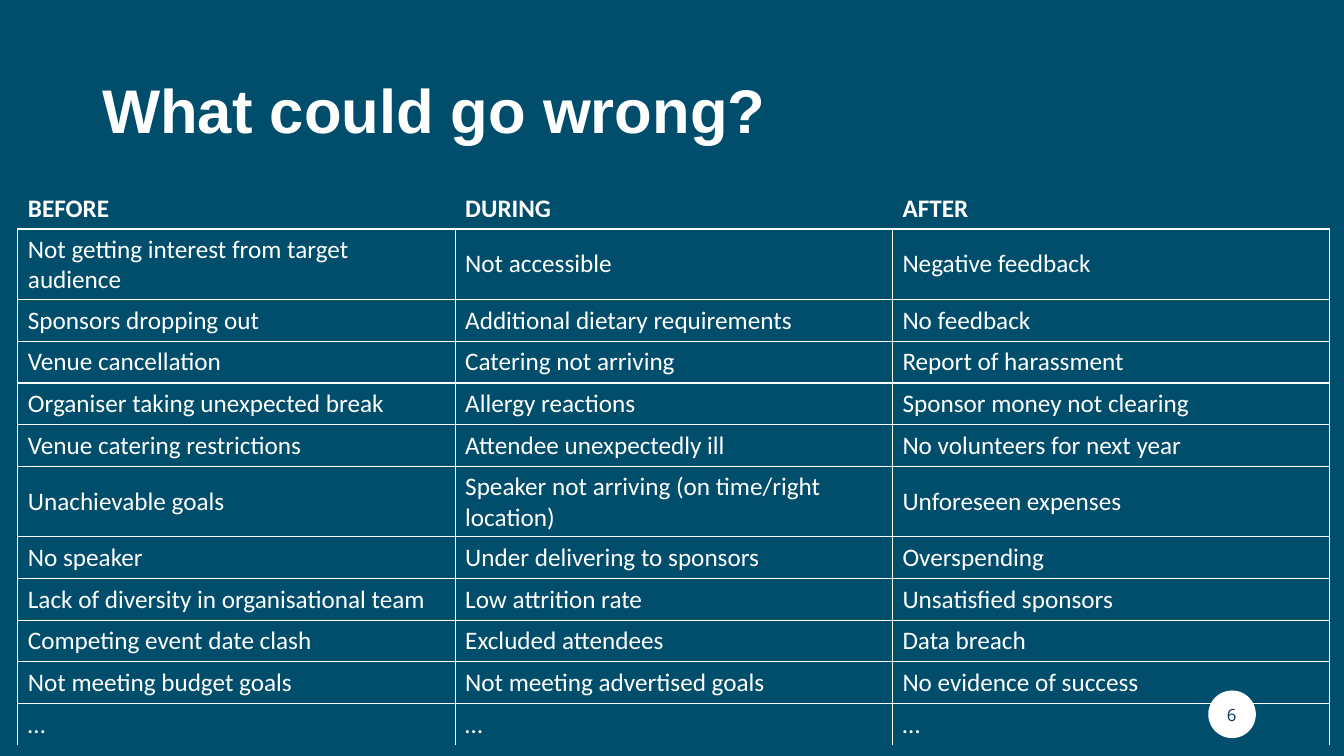
from dataclasses import dataclass

from lxml import etree
from pptx import Presentation
from pptx.dml.color import RGBColor
from pptx.enum.shapes import MSO_SHAPE
from pptx.enum.text import MSO_ANCHOR, PP_ALIGN
from pptx.oxml.ns import qn
from pptx.util import Cm, Pt

OVAL = MSO_SHAPE.OVAL
MIDDLE, BOTTOM = MSO_ANCHOR.MIDDLE, MSO_ANCHOR.BOTTOM
LEFT, CENTER = PP_ALIGN.LEFT, PP_ALIGN.CENTER


@dataclass(frozen=True)
class Theme:
    background: str = "004E6C"
    foreground: str = "FFFFFF"
    number_color: str = "083763"
    title_font: str = "Arial"
    table_font: str = "Calibri"
    number_font: str = "Open Sans"
    title_size: int = 44
    table_size: int = 18
    number_size: int = 12
    border_width: int = 1


THEME = Theme()
TITLE = "What could go wrong?"
PAGE_NUMBER = "6"
COLUMN_WIDTH = 11.02
ROW_HEIGHT = 1.05
RISKS = [
    ("BEFORE", "DURING", "AFTER"),
    ("Not getting interest from target audience", "Not accessible", "Negative feedback"),
    ("Sponsors dropping out", "Additional dietary requirements", "No feedback"),
    ("Venue cancellation", "Catering not arriving", "Report of harassment"),
    ("Organiser taking unexpected break", "Allergy reactions", "Sponsor money not clearing"),
    ("Venue catering restrictions", "Attendee unexpectedly ill", "No volunteers for next year"),
    ("Unachievable goals", "Speaker not arriving (on time/right location)", "Unforeseen expenses"),
    ("No speaker", "Under delivering to sponsors", "Overspending"),
    ("Lack of diversity in organisational team", "Low attrition rate", "Unsatisfied sponsors"),
    ("Competing event date clash", "Excluded attendees", "Data breach"),
    ("Not meeting budget goals", "Not meeting advertised goals", "No evidence of success"),
    ("…", "…", "…"),
]


def write_text(text_frame, text, font, size, color, bold=False, align=LEFT):
    paragraph = text_frame.paragraphs[0]
    paragraph.alignment = align
    run = paragraph.add_run()
    run.text = text
    for name, value in {"name": font, "size": Pt(size), "bold": bold}.items():
        setattr(run.font, name, value)
    run.font.color.rgb = RGBColor.from_string(color)
    return paragraph


def add_text(slide, box, *text_format, **options):
    shape = slide.shapes.add_textbox(*map(Cm, box))
    text_frame = shape.text_frame
    for name, value in {"word_wrap": True, "vertical_anchor": MIDDLE}.items():
        setattr(text_frame, name, value)
    return write_text(text_frame, *text_format, **options)


def add_disc(slide, box, color):
    shape = slide.shapes.add_shape(OVAL, *map(Cm, box))
    shape.shadow.inherit = False
    shape.fill.solid()
    shape.fill.fore_color.rgb = RGBColor.from_string(color)
    shape.line.fill.background()


def set_borders(cell, visible_sides):
    properties = cell._tc.get_or_add_tcPr()
    for index, side in enumerate("LRTB"):
        line = etree.Element(qn(f"a:ln{side}"), w=str(Pt(THEME.border_width)))
        if side in visible_sides:
            fill = etree.SubElement(line, qn("a:solidFill"))
            etree.SubElement(fill, qn("a:srgbClr"), val=THEME.foreground)
        else:
            etree.SubElement(line, qn("a:noFill"))
        properties.insert(index, line)


def add_risk_table(slide, left, top):
    row_count, column_count = len(RISKS), len(RISKS[0])
    size = (COLUMN_WIDTH * column_count, ROW_HEIGHT * row_count)
    table = slide.shapes.add_table(
        row_count, column_count, *map(Cm, (left, top, *size))).table
    table.horz_banding = False
    for column in table.columns:
        column.width = Cm(COLUMN_WIDTH)
    for row_index, (row, texts) in enumerate(zip(table.rows, RISKS)):
        row.height = Cm(ROW_HEIGHT)
        header = row_index == 0
        last = row_index == row_count - 1
        sides = "B" if header else "LRT" if last else "LRTB"
        for cell, text in zip(row.cells, texts):
            cell.fill.background()
            cell.vertical_anchor = BOTTOM if header else MIDDLE
            set_borders(cell, sides)
            write_text(cell.text_frame, text, THEME.table_font,
                       THEME.table_size, THEME.foreground, bold=header)


def main():
    presentation = Presentation()
    presentation.slide_width = Cm(33.87)
    presentation.slide_height = Cm(19.05)
    slide = presentation.slides.add_slide(presentation.slide_layouts[6])
    background = slide.background.fill
    background.solid()
    background.fore_color.rgb = RGBColor.from_string(THEME.background)

    add_disc(slide, (30.45, 17.4, 1.2, 1.2), THEME.foreground)
    title = add_text(slide, (2.33, 1.02, 29.21, 3.68), TITLE, THEME.title_font,
                     THEME.title_size, THEME.foreground, bold=True)
    title.line_spacing = 0.9
    add_text(slide, (30.4, 17.5, 1.28, 1.02), PAGE_NUMBER, THEME.number_font,
             THEME.number_size, THEME.number_color, align=CENTER)
    add_risk_table(slide, 0.45, 4.72)
    presentation.save("out.pptx")


main()
